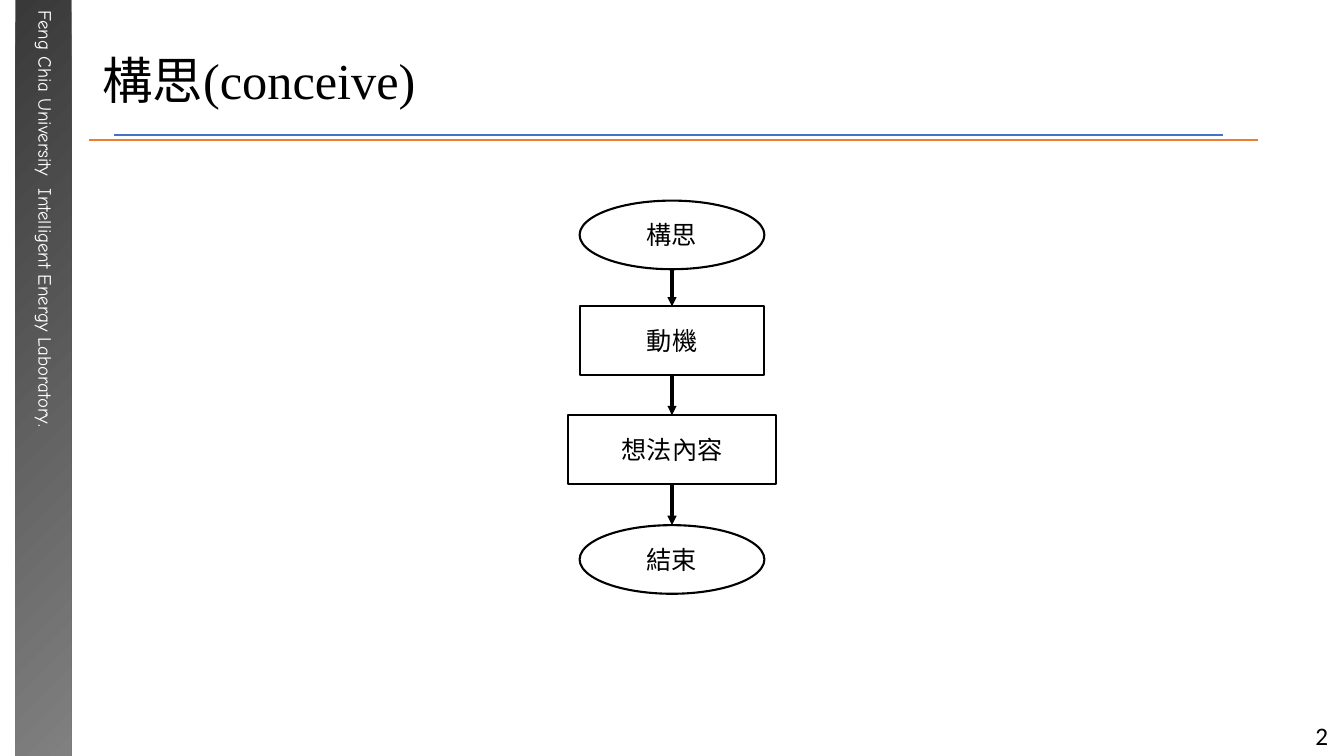
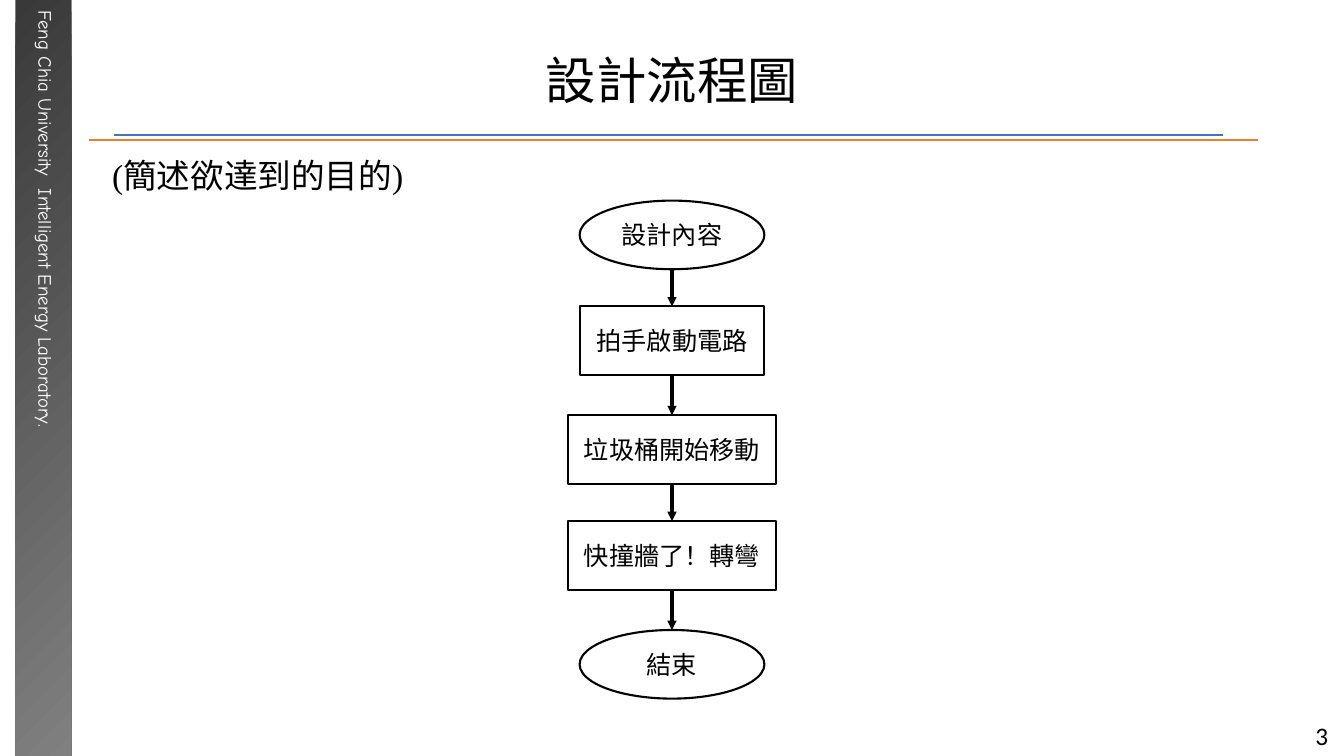
from lxml.etree import SubElement
from pptx import Presentation
from pptx.dml.color import RGBColor
from pptx.enum.shapes import MSO_CONNECTOR, MSO_SHAPE
from pptx.enum.text import MSO_ANCHOR, PP_ALIGN
from pptx.oxml.ns import qn
from pptx.util import Pt

COLORS = {"ink": "000000", "paper": "FFFFFF", "band_dark": "393939",
          "band_light": "808080", "orange": "ED7D31", "blue": "4472C4"}
CJK_FONT = "Noto Sans CJK SC"
CENTER_X = 480
STEP_HEIGHT = 49
OVAL, BOX = MSO_SHAPE.OVAL, MSO_SHAPE.RECTANGLE

FORMATS = {
    "title": {"frame": {"word_wrap": True, "vertical_anchor": MSO_ANCHOR.MIDDLE},
              "paragraph": {"line_spacing": 0.9},
              "font": {"size": Pt(36), "name": "Times New Roman"}},
    "purpose": {"frame": {"word_wrap": True},
                "paragraph": {"alignment": PP_ALIGN.JUSTIFY},
                "font": {"size": Pt(24), "name": "Times New Roman"}},
    "step": {"frame": {"word_wrap": True, "vertical_anchor": MSO_ANCHOR.MIDDLE},
             "paragraph": {"alignment": PP_ALIGN.CENTER},
             "font": {"size": Pt(18), "name": CJK_FONT}},
    "lab": {"frame": {"word_wrap": True}, "paragraph": {},
            "font": {"size": Pt(13.5), "name": "Comic Neue"}},
    "number": {"frame": {"word_wrap": False}, "paragraph": {},
               "font": {"size": Pt(18), "name": "Calibri"}},
}

# Each step: outline, label, width, top
PAGES = [
    {"title": "構思(conceive)", "align": PP_ALIGN.LEFT, "purpose": None,
     "steps": [(OVAL, "構思", 132, 143.3),
               (BOX, "動機", 132, 218.9),
               (BOX, "想法內容", 148, 296.6),
               (OVAL, "結束", 132, 375.1)]},
    {"title": "設計流程圖", "align": PP_ALIGN.CENTER, "purpose": "(簡述欲達到的目的)",
     "steps": [(OVAL, "設計內容", 132, 143.3),
               (BOX, "拍手啟動電路", 132, 218.9),
               (BOX, "垃圾桶開始移動", 148, 296.6),
               (BOX, "快撞牆了！轉彎", 148, 372.2),
               (OVAL, "結束", 132, 450)]},
]


def write(shape, text, style, color="ink"):
    """Put one paragraph in the shape, formatted by an entry of FORMATS."""
    frame = shape.text_frame
    paragraph = frame.paragraphs[0]
    run = paragraph.add_run()
    run.text = text
    targets = {"frame": frame, "paragraph": paragraph, "font": run.font}
    for part, values in FORMATS[style].items():
        for attribute, value in values.items():
            setattr(targets[part], attribute, value)
    run.font.color.rgb = RGBColor.from_string(COLORS[color])
    SubElement(run.font._element, qn("a:ea"), typeface=CJK_FONT)
    return paragraph


def draw_line(slide, start, end, color, width):
    line = slide.shapes.add_connector(
        MSO_CONNECTOR.STRAIGHT, *(Pt(value) for value in (*start, *end)))
    line.line.color.rgb = RGBColor.from_string(COLORS[color])
    line.line.width = Pt(width)
    SubElement(line._element.spPr, qn("a:effectLst"))
    return line


deck = Presentation()
deck.slide_width, deck.slide_height = Pt(960), Pt(540)

for number, page in enumerate(PAGES, start=2):
    slide = deck.slides.add_slide(deck.slide_layouts[6])
    shapes = slide.shapes

    band = shapes.add_shape(BOX, Pt(-239), Pt(250), Pt(540), Pt(40))
    band.rotation = 90
    band.shadow.inherit = False
    band.line.fill.background()
    band.fill.gradient()
    band.fill.gradient_angle = 45
    for stop, shade in zip(band.fill.gradient_stops, ("band_dark", "band_light")):
        stop.color.rgb = RGBColor.from_string(COLORS[shade])

    lab = shapes.add_textbox(Pt(-139), Pt(160), Pt(343), Pt(24))
    lab.rotation = 90
    write(lab, "Feng Chia University  Intelligent Energy Laboratory.", "lab", "paper")

    draw_line(slide, (63.5, 100), (898.5, 100), "orange", 1.5)
    draw_line(slide, (81.5, 96.4), (873.5, 96.4), "blue", 1.5)

    title = shapes.add_textbox(Pt(66), Pt(23.8), Pt(828), Pt(70.5))
    write(title, page["title"], "title").alignment = page["align"]
    if page["purpose"]:
        purpose = shapes.add_textbox(Pt(73), Pt(107.3), Pt(821), Pt(36))
        write(purpose, page["purpose"], "purpose")

    previous = None
    for outline, label, width, top in page["steps"]:
        step = shapes.add_shape(outline, Pt(CENTER_X - width / 2), Pt(top),
                                Pt(width), Pt(STEP_HEIGHT))
        step.shadow.inherit = False
        step.fill.background()
        step.line.color.rgb = RGBColor.from_string(COLORS["ink"])
        step.line.width = Pt(1.5)
        write(step, label, "step")
        if previous:
            bottom = (previous.top + previous.height) / Pt(1)
            arrow = draw_line(slide, (CENTER_X, bottom), (CENTER_X, top), "ink", 2.25)
            SubElement(arrow.line._get_or_add_ln(), qn("a:tailEnd"), type="triangle")
            # An oval numbers its sites differently: only its top is site 0
            if previous.auto_shape_type == BOX:
                arrow.begin_connect(previous, 2)
            arrow.end_connect(step, 0)
        previous = step

    page_number = shapes.add_textbox(Pt(932.5), Pt(511), Pt(21), Pt(29))
    write(page_number, str(number), "number")

deck.save("out.pptx")
